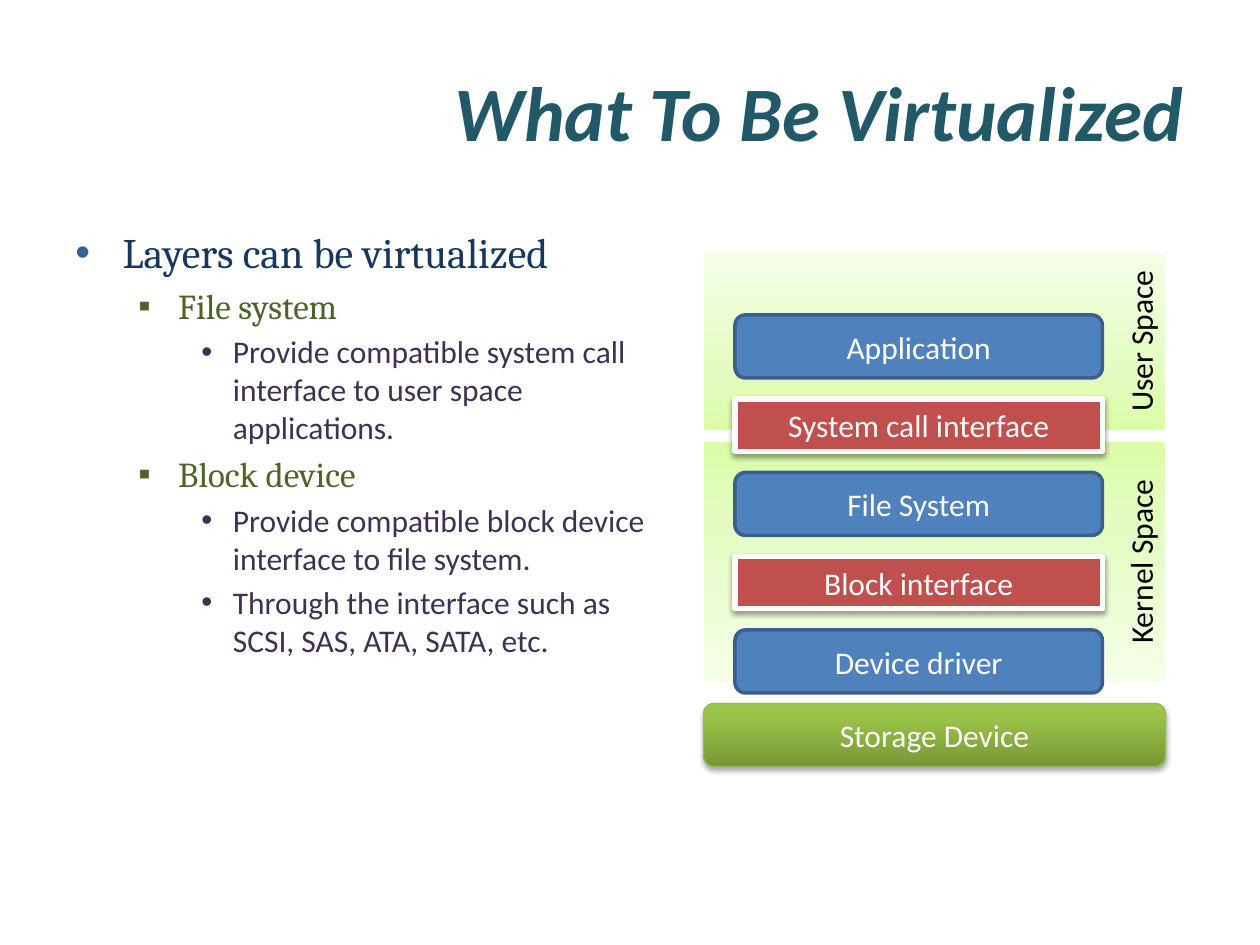
from lxml import etree
from copy import deepcopy
from pptx import Presentation
from pptx.dml.color import RGBColor
from pptx.enum.shapes import MSO_SHAPE
from pptx.enum.text import MSO_ANCHOR, PP_ALIGN
from pptx.oxml.ns import qn
from pptx.util import Pt

RECTANGLE, ROUNDED = MSO_SHAPE.RECTANGLE, MSO_SHAPE.ROUNDED_RECTANGLE
MIDDLE, BOTTOM, TOP = MSO_ANCHOR.MIDDLE, MSO_ANCHOR.BOTTOM, MSO_ANCHOR.TOP
LEFT, CENTER, RIGHT = PP_ALIGN.LEFT, PP_ALIGN.CENTER, PP_ALIGN.RIGHT

PX = 7620  # EMU per px, 120 px to the inch
COLORS = {
    "title": "215968", "topic": "17375E", "topic_bullet": "376092",
    "layer": "4F6228", "detail": "403152",
    "black": "000000", "white": "FFFFFF",
    "blue": "4F81BD", "blue_line": "3A5F8C", "red": "C0504D",
    "pale": "F5FFE7", "light": "E4FCC2", "lime": "DAFDA7",
    "green_dark": "779737", "green": "9BC348", "green_top": "9DC746",
    "green_line": "98B955",
}
# Outline levels: indent px, hanging px, bullet, bullet colour, size, font, colour
LEVELS = [
    (45, 45, "•", "topic_bullet", 24, "Cambria", "topic"),
    (98, 38, "▪", "layer", 20, "Cambria", "layer"),
    (150, 30, "•", "detail", 18, "Calibri", "detail"),
]


def rgb(name):
    return RGBColor.from_string(COLORS[name])


class SlideBuilder:
    def __init__(self, slide):
        self.slide = slide

    def set_font(self, paragraph, size, color, name="Calibri", strong=False):
        font = paragraph.font
        font.size, font.name = Pt(size), name
        font.color.rgb = rgb(color)
        if strong:
            font.bold = font.italic = True

    def text_box(self, box, anchor):
        shape = self.slide.shapes.add_textbox(*(value * PX for value in box))
        frame = shape.text_frame
        frame.word_wrap = True
        frame.vertical_anchor = anchor
        return frame

    def title(self, box, text):
        paragraph = self.text_box(box, MIDDLE).paragraphs[0]
        paragraph.text, paragraph.alignment = text, RIGHT
        self.set_font(paragraph, 44, "title", strong=True)

    def outline(self, box, items):
        frame = self.text_box(box, TOP)
        for index, (level, text) in enumerate(items):
            indent, hanging, bullet, bullet_color, size, name, color = LEVELS[level]
            paragraph = frame.add_paragraph() if index else frame.paragraphs[0]
            paragraph.text, paragraph.alignment = text, LEFT
            paragraph.level = level
            if index:
                paragraph.space_before = Pt(size * 0.2)
            properties = paragraph._p.get_or_add_pPr()
            properties.set("marL", str(indent * PX))
            properties.set("indent", str(-hanging * PX))
            fill = etree.SubElement(properties, qn("a:buClr"))
            etree.SubElement(fill, qn("a:srgbClr"), val=COLORS[bullet_color])
            etree.SubElement(properties, qn("a:buFont"), typeface="Arial")
            etree.SubElement(properties, qn("a:buChar"), char=bullet)
            self.set_font(paragraph, size, color, name)

    def block(self, kind, box, text, fill, line, width,
              color="white", vertical=False, shadow=None):
        shape = self.slide.shapes.add_shape(kind, *(value * PX for value in box))
        shape.shadow.inherit = False
        if isinstance(fill, str):
            shape.fill.solid()
            shape.fill.fore_color.rgb = rgb(fill)
        else:
            self.gradient(shape, fill)
        shape.line.color.rgb = rgb(line)
        shape.line.width = Pt(width)
        if shadow:
            self.shadow(shape, *shadow)
        frame = shape.text_frame
        frame.word_wrap = True
        frame.vertical_anchor = BOTTOM if vertical else MIDDLE
        if vertical:
            frame._txBody.bodyPr.set("vert", "vert270")
        paragraph = frame.paragraphs[0]
        paragraph.text, paragraph.alignment = text, CENTER
        self.set_font(paragraph, 18, color)

    def gradient(self, shape, stops):
        """Fill from bottom to top with (position, colour) stops."""
        shape.fill.gradient()
        shape.fill.gradient_angle = 90
        stop_list = shape._element.spPr.find(".//" + qn("a:gsLst"))
        while len(stop_list) < len(stops):
            stop_list.append(deepcopy(stop_list[0]))
        for stop, (position, color) in zip(shape.fill.gradient_stops, stops):
            stop.position = position
            stop.color.rgb = rgb(color)

    def shadow(self, shape, opacity, distance):
        effects = shape._element.spPr.find(qn("a:effectLst"))
        outer = etree.SubElement(effects, qn("a:outerShdw"), blurRad=str(Pt(3.1)),
                                 dist=str(Pt(distance)), dir="5400000",
                                 rotWithShape="0")
        color = etree.SubElement(outer, qn("a:srgbClr"), val=COLORS["black"])
        etree.SubElement(color, qn("a:alpha"), val=str(opacity * 1000))


def main():
    presentation = Presentation()
    presentation.slide_width, presentation.slide_height = 1200 * PX, 900 * PX
    slide = presentation.slides.add_slide(presentation.slide_layouts[6])
    builder = SlideBuilder(slide)

    # Title and outline
    builder.title((60, 30, 1080, 150), "What To Be Virtualized")
    builder.outline((60, 210, 590, 594), [
        (0, "Layers can be virtualized"),
        (1, "File system"),
        (2, "Provide compatible system call interface to user space applications."),
        (1, "Block device"),
        (2, "Provide compatible block device interface to file system."),
        (2, "Through the interface such as SCSI, SAS, ATA, SATA, etc."),
    ])

    # Kernel and user space areas
    areas = [
        ("Kernel Space", 420, 230, [(0, "pale"), (0.65, "light"), (1, "lime")]),
        ("User Space", 240, 170, [(0, "lime"), (0.35, "light"), (1, "pale")]),
    ]
    for text, top, height, stops in areas:
        builder.block(RECTANGLE, (670, top, 440, height), text, stops,
                      "white", 0.75, color="black", vertical=True)

    # Layers, with an interface below all but the last
    layers = ["Application", "File System", "Device driver"]
    interfaces = ["System call interface", "Block interface"]
    for index, text in enumerate(layers):
        builder.block(ROUNDED, (700, 300 + 150 * index, 350, 60), text,
                      "blue", "blue_line", 2)
    for index, text in enumerate(interfaces):
        builder.block(RECTANGLE, (700, 380 + 150 * index, 350, 50), text,
                      "red", "white", 3, shadow=(38, 1.6))

    # Storage hardware
    builder.block(ROUNDED, (670, 670, 440, 60), "Storage Device",
                  [(0, "green_dark"), (0.8, "green"), (1, "green_top")],
                  "green_line", 0.75, shadow=(35, 1.8))

    presentation.save("out.pptx")


if __name__ == "__main__":
    main()
